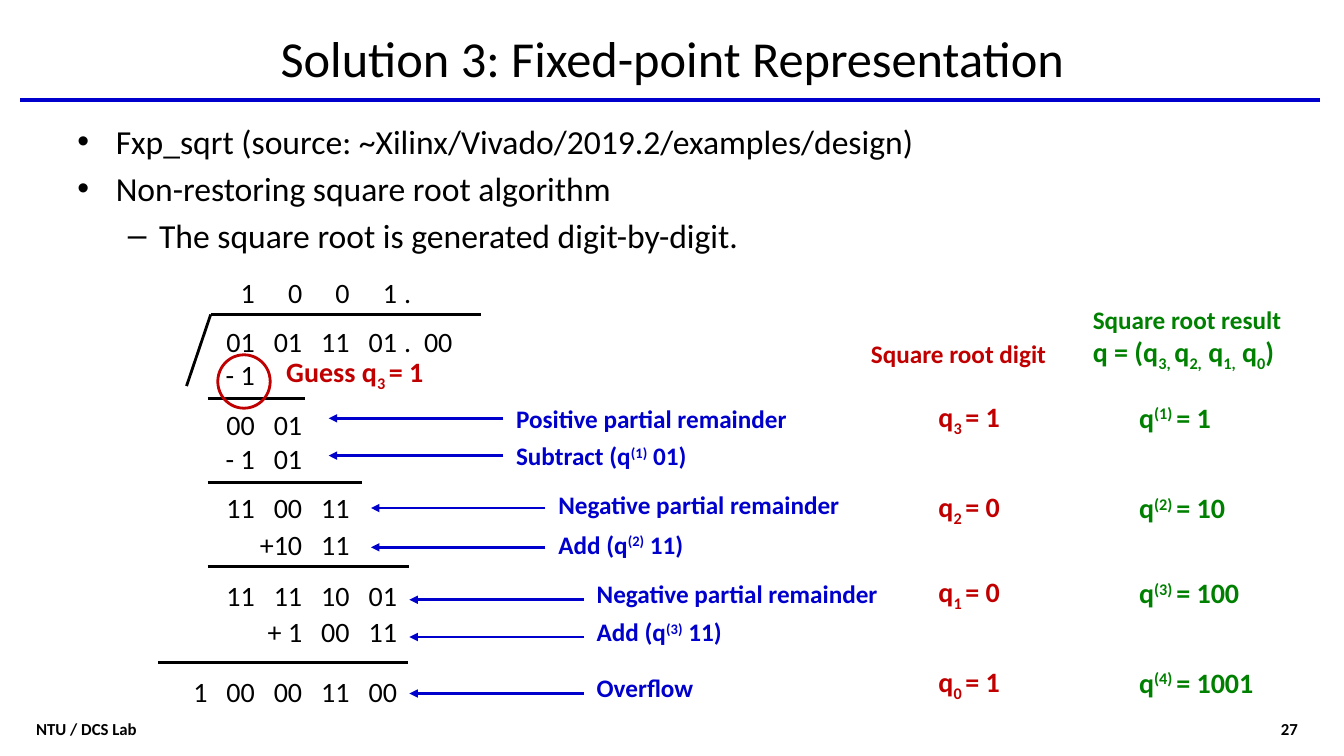
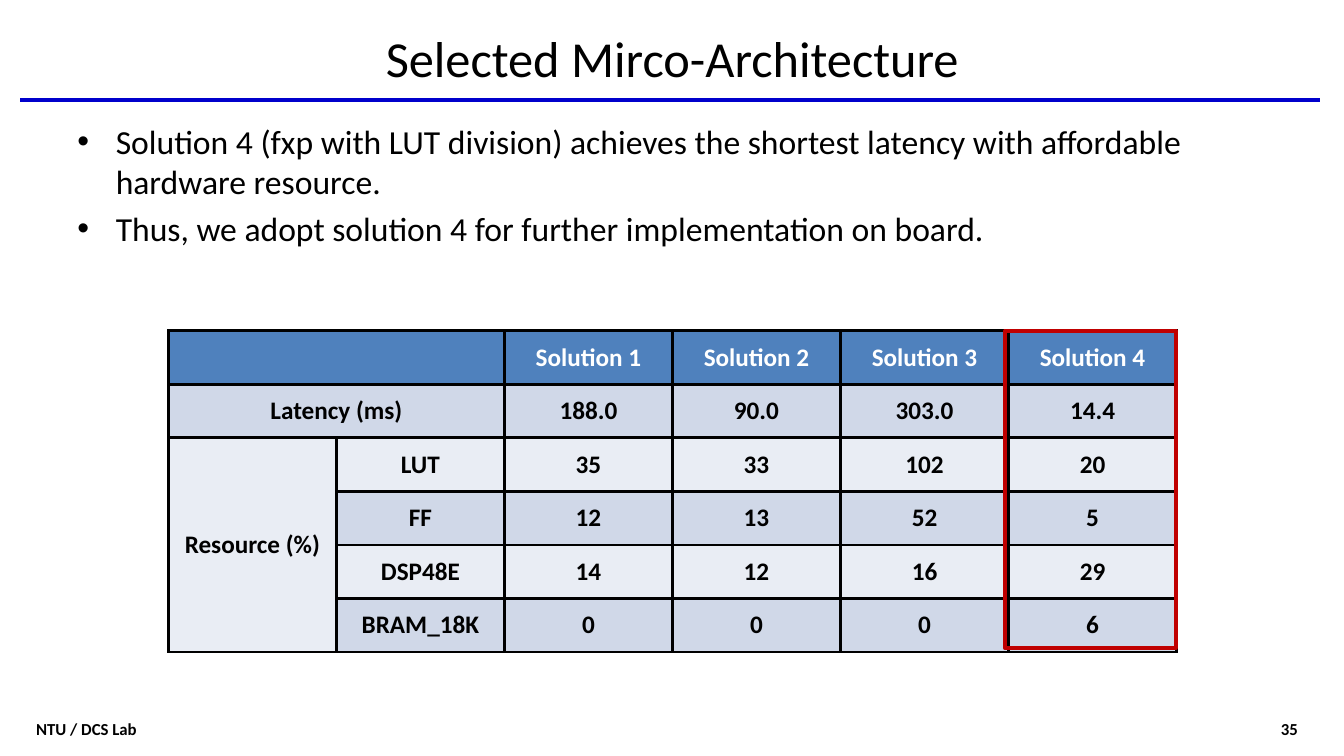
from dataclasses import dataclass

from lxml.etree import SubElement as Sub
from pptx import Presentation
from pptx.dml.color import RGBColor as Rgb
from pptx.enum.shapes import MSO_CONNECTOR as Conn, MSO_SHAPE as Shape
from pptx.enum.text import MSO_ANCHOR as Anchor, PP_ALIGN as Align
from pptx.oxml.ns import qn
from pptx.util import Inches, Pt


@dataclass(frozen=True)
class Theme:
    """Colours, font and type sizes of the deck."""
    font: str = "Calibri"
    black: str = "000000"
    white: str = "FFFFFF"
    blue: str = "0000CC"
    red: str = "C00000"
    green: str = "008000"
    head: str = "4F81BD"
    bands: tuple = ("E9EDF4", "D0D8E8")
    title: int = 36
    body: int = 24
    math: int = 20
    note: int = 18
    foot: int = 12


T = Theme()
SUPER, UNDER = 30000, -25000


def color(code):
    """Turn a hex code into a colour."""
    return Rgb.from_string(code)


def write(para, text, size, ink=T.black, bold=False, shift=0):
    """Add runs split at bars, raising or lowering every second one."""
    for i, part in enumerate(text.split("|")):
        run = para.add_run()
        run.text = part
        font = run.font
        font.name, font.size, font.bold = T.font, Pt(size), bold
        font.color.rgb = color(ink)
        if i % 2:
            run._r.get_or_add_rPr().set("baseline", str(shift))


def frame(slide, x, y, w, h, anchor=Anchor.TOP):
    """Add an empty wrapping text box and return its text frame."""
    text = slide.shapes.add_textbox(Inches(x), Inches(y), Inches(w), Inches(h)).text_frame
    text.word_wrap = True
    text.vertical_anchor = anchor
    return text


def label(slide, x, y, w, h, text, size, ink=T.black, bold=True, shift=0,
          align=Align.LEFT, anchor=Anchor.TOP):
    """Add a one-paragraph text box and return its paragraph."""
    para = frame(slide, x, y, w, h, anchor).paragraphs[0]
    para.alignment = align
    write(para, text, size, ink, bold, shift)
    return para


def line(slide, x1, y1, x2, y2, ink=T.black, width=2, arrow=False):
    """Draw a straight line, with an arrowhead at its end if asked."""
    rule = slide.shapes.add_connector(
        Conn.STRAIGHT, Inches(x1), Inches(y1), Inches(x2), Inches(y2))
    rule.line.color.rgb = color(ink)
    rule.line.width = Pt(width)
    if arrow:
        Sub(rule.line._get_or_add_ln(), qn("a:tailEnd"), type="triangle")
    Sub(rule._element.spPr, qn("a:effectLst"))


def outline(slide, kind, x, y, w, h, width):
    """Draw a red unfilled shape around something."""
    ring = slide.shapes.add_shape(kind, Inches(x), Inches(y), Inches(w), Inches(h))
    ring.shadow.inherit = False
    ring.fill.background()
    ring.line.color.rgb = color(T.red)
    ring.line.width = Pt(width)


def base(deck, title, number):
    """Add a slide with its title, rule and footer."""
    slide = deck.slides.add_slide(deck.slide_layouts[6])
    line(slide, 0.2, 0.99, 13.09, 0.99, T.blue, 3)
    label(slide, 0.67, 0.21, 12, 0.71, title, T.title, bold=False,
          align=Align.CENTER, anchor=Anchor.MIDDLE)
    label(slide, 0.26, 6.95, 4.22, 0.55, "NTU / DCS Lab", T.foot, anchor=Anchor.MIDDLE)
    label(slide, 9.56, 6.95, 3.41, 0.55, str(number), T.foot,
          align=Align.RIGHT, anchor=Anchor.MIDDLE)
    return slide


def points(slide, x, y, w, h, items):
    """List bulleted items given as level and text."""
    text = frame(slide, x, y, w, h)
    marks = (("•", 0.38, -0.38), ("–", 0.81, -0.31))
    for i, (level, words) in enumerate(items):
        para = text.add_paragraph() if i else text.paragraphs[0]
        mark, left, hang = marks[level]
        props = para._p.get_or_add_pPr()
        props.set("marL", str(Inches(left)))
        props.set("indent", str(Inches(hang)))
        if i:
            para.space_before = Pt(T.body * 0.2)
        Sub(props, qn("a:buFont"), typeface="Arial")
        Sub(props, qn("a:buChar"), char=mark)
        write(para, words, T.body)


def digits(slide, x, y, text):
    """Write one row of digits on right-aligned tab stops."""
    para = label(slide, x, y, 3, 0.44, text, T.math, bold=False)
    tabs = Sub(para._p.get_or_add_pPr(), qn("a:tabLst"))
    for stop in (0.61, 1.08, 1.55, 2.02, 2.16, 2.57):
        Sub(tabs, qn("a:tab"), pos=str(Inches(stop)), algn="r")


def root(slide, x, y):
    """Lay out the long-hand square root."""
    rows = (
        (0, "\t1\t0\t0\t1\t."),
        (0.49, "\t01\t01\t11\t01\t.\t00"),
        (0.82, "\t- 1"),
        (1.31, "\t00\t01"),
        (1.65, "\t- 1\t01"),
        (2.14, "\t11\t00\t11"),
        (2.5, "\t\t+10\t11"),
        (3.01, "\t11\t11\t10\t01"),
        (3.37, "\t\t+ 1\t00\t11"),
        (3.96, "1\t00\t00\t11\t00"),
    )
    for top, text in rows:
        digits(slide, x, y + top, text)
    rules = ((0.27, 2.95, 0.44), (0.24, 1.21, 1.27), (0.24, 1.77, 2.11),
             (0.24, 2.24, 2.94), (-0.25, 2.23, 3.89))
    for left, right, top in rules:
        line(slide, x + left, y + top, x + right, y + top)
    line(slide, x + 0.27, y + 0.44, x + 0.03, y + 1.15)
    outline(slide, Shape.OVAL, x + 0.34, y + 0.84, 0.52, 0.53, 2)
    label(slide, x + 0.92, y + 0.79, 3.3, 0.44, "Guess q|3 |= 1", T.math, T.red, shift=UNDER)


def notes(slide, x, y):
    """Explain the rows of the square root with arrows."""
    items = (
        (0, 0, 0.2, "Positive partial remainder"),
        (0, 0.37, 0.57, "Subtract (q|(1)| 01)"),
        (0.42, 0.86, 1.09, "Negative partial remainder"),
        (0.42, 1.25, 1.48, "Add (q|(2)| 11)"),
        (0.8, 1.74, 2, "Negative partial remainder"),
        (0.8, 2.12, 2.37, "Add (q|(3)| 11)"),
        (0.8, 2.67, 2.93, "Overflow"),
    )
    for left, top, tip, text in items:
        start = x + left
        line(slide, start + 1.73, y + tip, start, y + tip, T.blue, arrow=True)
        label(slide, start + 1.76, y + top, 3.3, 0.4, text, T.note, T.blue, shift=SUPER)


def steps(slide, x, y, items, ink, shift):
    """Stack the values found in the four steps."""
    for top, text in zip((0, 0.9, 1.74, 2.63), items):
        label(slide, x, y + top, 1.77, 0.44, text, T.math, ink, shift=shift)


def results(slide, x, y):
    """Show the digit and result columns under their heads."""
    label(slide, x, y + 0.34, 2.1, 0.4, "Square root digit", T.note, T.red)
    text = frame(slide, x + 2.2, y, 2.1, 0.74)
    write(text.paragraphs[0], "Square root result", T.note, T.green, True)
    write(text.add_paragraph(), "q = (q|3, |q|2,| q|1,| q|0|)", T.math, T.green, True, UNDER)
    bits = "1001"
    found = [f"q|{3 - i} |= {bit}" for i, bit in enumerate(bits)]
    sums = [f"q|({i}) |= {bits[:i]}" for i in range(1, 5)]
    steps(slide, x + 0.67, y + 0.94, found, T.red, UNDER)
    steps(slide, x + 2.66, y + 0.95, sums, T.green, SUPER)


def border(cell, width):
    """Draw black edges round a cell."""
    props = cell._tc.get_or_add_tcPr()
    for i, side in enumerate("LRTB"):
        edge = Sub(props, qn(f"a:ln{side}"), w=str(Pt(width)))
        Sub(Sub(edge, qn("a:solidFill")), qn("a:srgbClr"), val=T.black)
        props.insert(i, edge)


def compare(slide, x, y):
    """Tabulate the four solutions and frame the chosen one."""
    rows = (
        ("", "", "Solution 1", "Solution 2", "Solution 3", "Solution 4"),
        ("Latency (ms)", "", "188.0", "90.0", "303.0", "14.4"),
        ("Resource (%)", "LUT", "35", "33", "102", "20"),
        ("", "FF", "12", "13", "52", "5"),
        ("", "DSP48E", "14", "12", "16", "29"),
        ("", "BRAM_18K", "0", "0", "0", "6"),
    )
    wide, high = 10 / 6, 3.19 / 6
    grid = slide.shapes.add_table(
        6, 6, Inches(x), Inches(y), Inches(6 * wide), Inches(6 * high)).table
    for i, row in enumerate(rows):
        grid.rows[i].height = Inches(high)
        grid.columns[i].width = Inches(wide)
        for j, text in enumerate(row):
            cell = grid.cell(i, j)
            cell.fill.solid()
            cell.fill.fore_color.rgb = color(T.bands[i % 2] if i else T.head)
            cell.vertical_anchor = Anchor.MIDDLE
            border(cell, 2.25)
            if text:
                para = cell.text_frame.paragraphs[0]
                para.alignment = Align.CENTER
                write(para, text, T.note, T.black if i else T.white, True)
    for first, last in (((0, 0), (0, 1)), ((1, 0), (1, 1)), ((2, 0), (5, 0))):
        grid.cell(*first).merge(grid.cell(*last))
    outline(slide, Shape.RECTANGLE, x + 8.3, y, 1.69, 3.15, 3)


def main():
    """Build and save the deck."""
    deck = Presentation()
    deck.slide_width, deck.slide_height = Inches(13.33), Inches(7.5)

    slide = base(deck, "Solution 3: Fixed-point Representation", 27)
    points(slide, 0.67, 1.15, 12, 1.5, (
        (0, "Fxp_sqrt (source: ~Xilinx/Vivado/2019.2/examples/design)"),
        (0, "Non-restoring square root algorithm"),
        (1, "The square root is generated digit-by-digit."),
    ))
    root(slide, 1.82, 2.68)
    notes(slide, 3.26, 3.95)
    results(slide, 8.54, 2.97)

    slide = base(deck, "Selected Mirco-Architecture", 35)
    points(slide, 0.67, 1.15, 12, 1.5, (
        (0, "Solution 4 (fxp with LUT division) achieves the shortest latency"
            " with affordable hardware resource."),
        (0, "Thus, we adopt solution 4 for further implementation on board."),
    ))
    compare(slide, 1.67, 3.28)
    deck.save("out.pptx")


if __name__ == "__main__":
    main()
